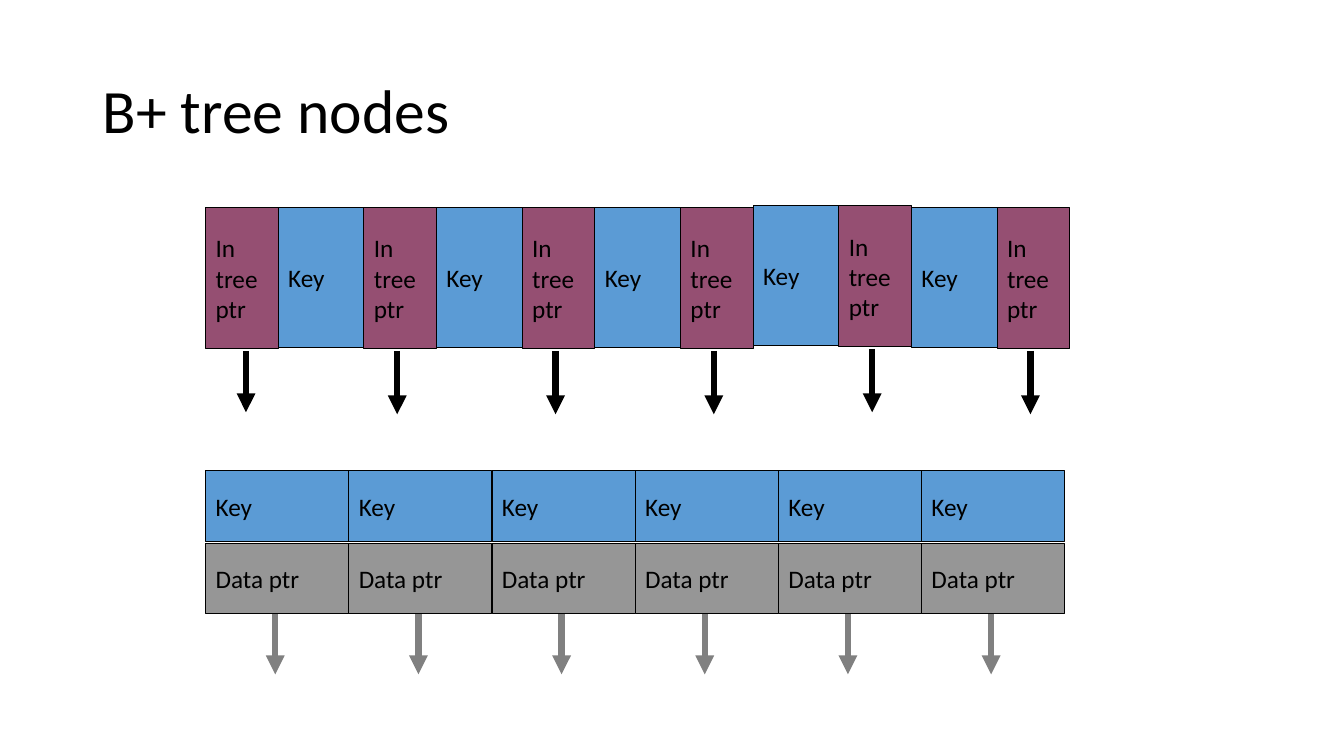
import dataclasses

import lxml.etree
import pptx
import pptx.dml.color
import pptx.enum.shapes
import pptx.enum.text
import pptx.oxml.ns
import pptx.util

Inches = pptx.util.Inches
Pt = pptx.util.Pt
qn = pptx.oxml.ns.qn
RGB = pptx.dml.color.RGBColor.from_string
Align = pptx.enum.text.PP_ALIGN
Anchor = pptx.enum.text.MSO_ANCHOR
AutoSize = pptx.enum.text.MSO_AUTO_SIZE


@dataclasses.dataclass
class Theme:
    font: str = "Calibri"
    title_size: float = 44
    label_size: float = 18
    border: float = 0.75
    arrow: float = 4.5
    ink: str = "000000"
    key: str = "5B9BD5"
    tree_ptr: str = "954F72"
    data_ptr: str = "969696"
    data_arrow: str = "808080"


def write_text(tf, text, *, font, size, color, spacing=None, wrap=True):
    """Fill a frame with one left-aligned, vertically centred paragraph."""
    tf.auto_size = AutoSize.NONE
    tf.word_wrap = wrap
    tf.vertical_anchor = Anchor.MIDDLE
    p = tf.paragraphs[0]
    p.text = text
    p.alignment = Align.LEFT
    if spacing:
        p.line_spacing = spacing
    for r in p.runs:
        r.font.name = font
        r.font.size = Pt(size)
        r.font.color.rgb = RGB(color)


class Diagram:
    def __init__(self, slide, theme):
        self.slide = slide
        self.theme = theme

    def title(self, text, x, y, w, h):
        sp = self.slide.shapes.title
        sp.left, sp.top, sp.width, sp.height = map(Inches, (x, y, w, h))
        write_text(sp.text_frame, text, font=self.theme.font,
                   size=self.theme.title_size, color=self.theme.ink, spacing=0.9)

    def group(self):
        return self.slide.shapes.add_group_shape().shapes

    def cell(self, shapes, text, fill, x, y, w, h):
        sp = shapes.add_shape(pptx.enum.shapes.MSO_SHAPE.RECTANGLE,
                              *map(Inches, (x, y, w, h)))
        sp.shadow.inherit = False
        sp.fill.solid()
        sp.fill.fore_color.rgb = RGB(fill)
        sp.line.color.rgb = RGB(self.theme.ink)
        sp.line.width = Pt(self.theme.border)
        write_text(sp.text_frame, text, font=self.theme.font,
                   size=self.theme.label_size, color=self.theme.ink, wrap=False)

    def down_arrow(self, shapes, color, x, y, length):
        line = shapes.add_connector(pptx.enum.shapes.MSO_CONNECTOR.STRAIGHT,
                                    *map(Inches, (x, y, x, y + length)))
        line.line.color.rgb = RGB(color)
        line.line.width = Pt(self.theme.arrow)
        lxml.etree.SubElement(line.line._get_or_add_ln(), qn("a:tailEnd"), type="triangle")
        lxml.etree.SubElement(line._element.spPr, qn("a:effectLst"))


def draw_inner_node(d, left=2.04, top=2.06, pointers=6):
    """Alternate tree pointers and keys, starting and ending with a pointer."""
    t = d.theme
    ptr_w, key_w = 0.72, 0.85
    pitch = ptr_w + key_w
    raised = 4  # this key and pointer pair sits slightly higher
    for i in range(pointers):
        x = left + i * pitch
        y = top - 0.02 if i == raised else top
        shapes = d.group() if i else d.slide.shapes
        if i:
            d.cell(shapes, "Key", t.key, x - key_w, y, key_w, 1.39)
        offset, length = (0.33, 0.63) if i else (0.4, 0.61)
        d.down_arrow(shapes, t.ink, x + offset, y + 1.42, length)
        d.cell(shapes, "In\ntree\nptr", t.tree_ptr, x, y, ptr_w, 1.4)


def draw_leaf_node(d, left=2.04, top=4.67, entries=6):
    """Stack each key on its data pointer."""
    t = d.theme
    w, h, row = 1.42, 0.7, 0.72
    for i in range(entries):
        x = left + i * w
        shapes = d.group()
        d.cell(shapes, "Key", t.key, x, top, w, h)
        d.down_arrow(shapes, t.data_arrow, x + 0.69, top + row + h, 0.6)
        d.cell(shapes, "Data ptr", t.data_ptr, x, top + row, w, h)


def main():
    prs = pptx.Presentation()
    prs.slide_width = Inches(13.33)
    prs.slide_height = Inches(7.5)
    s = prs.slides.add_slide(prs.slide_layouts.get_by_name("Title Only"))
    d = Diagram(s, Theme())
    d.title("B+ tree nodes", 0.92, 0.4, 11.5, 1.45)
    draw_inner_node(d)
    draw_leaf_node(d)
    prs.save("out.pptx")


if __name__ == "__main__":
    main()
